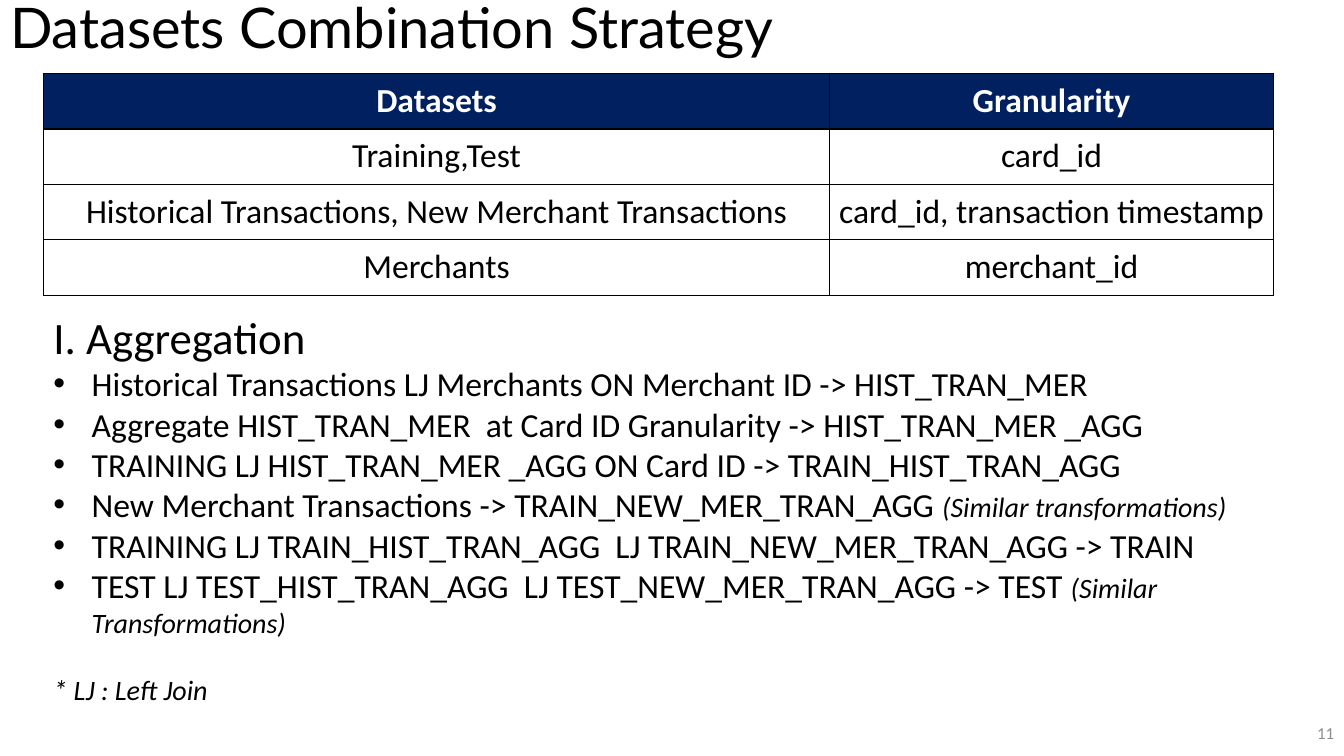
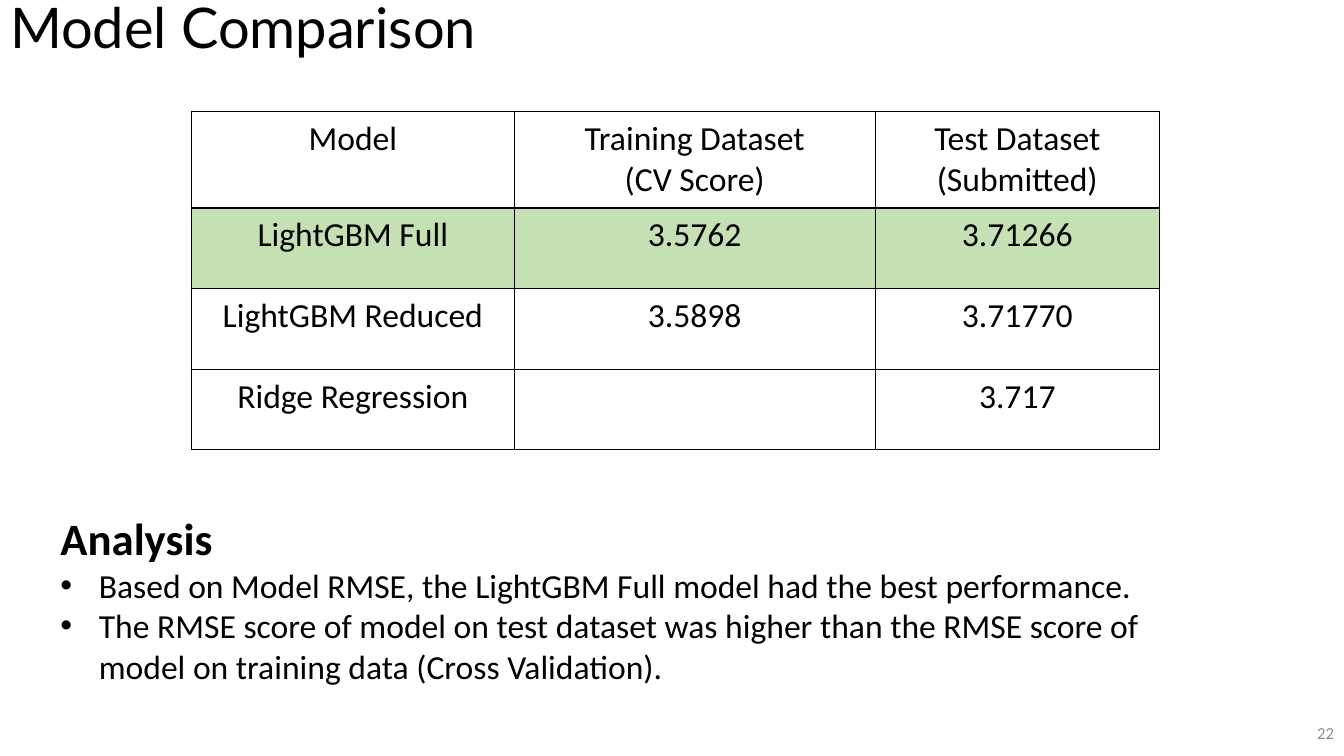
"""Builds two slides: the dataset combination strategy and the model comparison."""
from dataclasses import dataclass

from lxml import etree
from pptx import Presentation
from pptx.dml.color import RGBColor
from pptx.enum.text import MSO_ANCHOR, MSO_AUTO_SIZE, PP_ALIGN
from pptx.oxml.ns import qn
from pptx.util import Inches, Pt

LEFT, CENTER, RIGHT = PP_ALIGN.LEFT, PP_ALIGN.CENTER, PP_ALIGN.RIGHT
TOP, MIDDLE = MSO_ANCHOR.TOP, MSO_ANCHOR.MIDDLE
NO_AUTOFIT = MSO_AUTO_SIZE.NONE


@dataclass(frozen=True)
class Theme:
    title_font: str = "Lato"
    body_font: str = "Calibri"
    black: str = "000000"
    white: str = "FFFFFF"
    gray: str = "8C8C8C"
    navy: str = "002060"
    green: str = "C5E0B3"
    title_size: int = 40
    heading_size: int = 32
    body_size: int = 24
    remark_size: int = 20
    number_size: int = 12
    indent: float = 0.38
    cell_margin: float = 0.07


THEME = Theme()
WIDTH, HEIGHT = 13.33, 7.5
TITLE_BOX = (0, 0, 11.5, 0.61)
NUMBER_BOX = (WIDTH - 3, 7.07, 3, 0.4)

BULLET = {"bullet": True}
REMARK = {"size": THEME.remark_size, "italic": True}
HEADING = {"size": THEME.heading_size}

SLIDES = [
    {
        "title": "Datasets Combination Strategy",
        "number": "11",
        "table": {
            "origin": (0.43, 0.73),
            "columns": (7.8, 4.4),
            "rows": (0.55,) * 4,
            "cells": [
                ("Datasets", "Granularity"),
                ("Training,Test", "card_id"),
                ("Historical Transactions, New Merchant Transactions",
                 "card_id, transaction timestamp"),
                ("Merchants", "merchant_id"),
            ],
            "row_styles": {0: {"fill": THEME.navy, "color": THEME.white, "bold": True}},
        },
        "body_box": (0.43, 3.02, 12.21, 4.07),
        "body": [
            ("I. Aggregation", "", HEADING),
            ("Historical Transactions LJ Merchants ON Merchant ID -> HIST_TRAN_MER", "", BULLET),
            ("Aggregate HIST_TRAN_MER  at Card ID Granularity -> HIST_TRAN_MER _AGG", "", BULLET),
            ("TRAINING LJ HIST_TRAN_MER _AGG ON Card ID -> TRAIN_HIST_TRAN_AGG", "", BULLET),
            ("New Merchant Transactions -> TRAIN_NEW_MER_TRAN_AGG ",
             "(Similar transformations)", BULLET),
            ("TRAINING LJ TRAIN_HIST_TRAN_AGG  LJ TRAIN_NEW_MER_TRAN_AGG -> TRAIN", "", BULLET),
            ("TEST LJ TEST_HIST_TRAN_AGG  LJ TEST_NEW_MER_TRAN_AGG -> TEST ",
             "(Similar Transformations)", BULLET),
            ("* LJ : Left Join", "", {**REMARK, "before": 24}),
        ],
    },
    {
        "title": "Model Comparison",
        "number": "22",
        "table": {
            "origin": (1.9, 1.11),
            "columns": (3.2, 3.58, 2.82),
            "rows": (0.95, 0.8, 0.8, 0.8),
            "cells": [
                ("Model", "Training Dataset\n(CV Score)", "Test Dataset (Submitted)"),
                ("LightGBM Full", "3.5762", "3.71266"),
                ("LightGBM Reduced", "3.5898", "3.71770"),
                ("Ridge Regression", "", "3.717"),
            ],
            "row_styles": {1: {"fill": THEME.green}},
        },
        "body_box": (0.5, 5.02, 11.05, 1.85),
        "body": [
            ("Analysis", "", {**HEADING, "bold": True}),
            ("Based on Model RMSE, the LightGBM Full model had the best performance.", "", BULLET),
            ("The RMSE score of model on test dataset was higher than the RMSE score of "
             "model on training data (Cross Validation).", "", BULLET),
        ],
    },
]


def add_run(paragraph, text, size=THEME.body_size, font=THEME.body_font,
            color=THEME.black, bold=False, italic=False):
    run = paragraph.add_run()
    run.text = text
    run.font.size, run.font.name = Pt(size), font
    run.font.bold, run.font.italic = bold, italic
    run.font.color.rgb = RGBColor.from_string(color)


def write(paragraph, text, remark="", align=LEFT, spacing=1.0, before=0, bullet=False, **style):
    paragraph.alignment, paragraph.line_spacing = align, spacing
    paragraph.space_before, paragraph.space_after = Pt(before), Pt(0)
    properties = paragraph._p.get_or_add_pPr()
    indent = Inches(THEME.indent) if bullet else 0
    properties.set("marL", str(indent))
    properties.set("indent", str(-indent))
    if bullet:
        etree.SubElement(properties, qn("a:buFont"), typeface="Arial")
        etree.SubElement(properties, qn("a:buChar"), char="•")
    else:
        etree.SubElement(properties, qn("a:buNone"))
    add_run(paragraph, text, **style)
    if remark:
        add_run(paragraph, remark, **REMARK)


def place(shape, box, anchor):
    shape.left, shape.top, shape.width, shape.height = map(Inches, box)
    frame = shape.text_frame
    frame.word_wrap, frame.auto_size = True, NO_AUTOFIT
    frame.vertical_anchor = anchor
    return frame


def next_paragraph(frame, index):
    return frame.add_paragraph() if index else frame.paragraphs[0]


def set_borders(cell):
    properties = cell._tc.get_or_add_tcPr()
    for index, side in enumerate("LRTB"):
        line = etree.Element(qn(f"a:ln{side}"), w=str(Pt(1)))
        fill = etree.SubElement(line, qn("a:solidFill"))
        etree.SubElement(fill, qn("a:srgbClr"), val=THEME.black)
        properties.insert(index, line)


def fill_cell(cell, text, fill=None, **style):
    cell.margin_left = cell.margin_right = Inches(THEME.cell_margin)
    cell.margin_top = cell.margin_bottom = Inches(THEME.cell_margin)
    if fill:
        cell.fill.solid()
        cell.fill.fore_color.rgb = RGBColor.from_string(fill)
    else:
        cell.fill.background()
    set_borders(cell)
    if text:
        for index, line in enumerate(text.split("\n")):
            write(next_paragraph(cell.text_frame, index), line, align=CENTER, **style)


def add_table(slide, origin, columns, rows, cells, row_styles):
    box = (*origin, sum(columns), sum(rows))
    table = slide.shapes.add_table(len(rows), len(columns), *map(Inches, box)).table
    table.first_row = table.horz_banding = False
    for column, width in zip(table.columns, columns):
        column.width = Inches(width)
    for row_index, (row, height) in enumerate(zip(table.rows, rows)):
        row.height = Inches(height)
        for cell, text in zip(row.cells, cells[row_index]):
            fill_cell(cell, text, **row_styles.get(row_index, {}))


def add_slide(presentation, content):
    slide = presentation.slides.add_slide(presentation.slide_layouts[1])
    title = place(slide.shapes.title, TITLE_BOX, MIDDLE)
    write(title.paragraphs[0], content["title"], spacing=0.9,
          size=THEME.title_size, font=THEME.title_font)
    number = place(slide.shapes.add_textbox(0, 0, 0, 0), NUMBER_BOX, MIDDLE)
    write(number.paragraphs[0], content["number"], align=RIGHT,
          size=THEME.number_size, color=THEME.gray)
    add_table(slide, **content["table"])
    body = place(slide.placeholders[1], content["body_box"], TOP)
    for index, (text, remark, style) in enumerate(content["body"]):
        write(next_paragraph(body, index), text, remark, **style)


def main():
    presentation = Presentation()
    presentation.slide_width, presentation.slide_height = Inches(WIDTH), Inches(HEIGHT)
    for content in SLIDES:
        add_slide(presentation, content)
    presentation.save("out.pptx")


if __name__ == "__main__":
    main()
